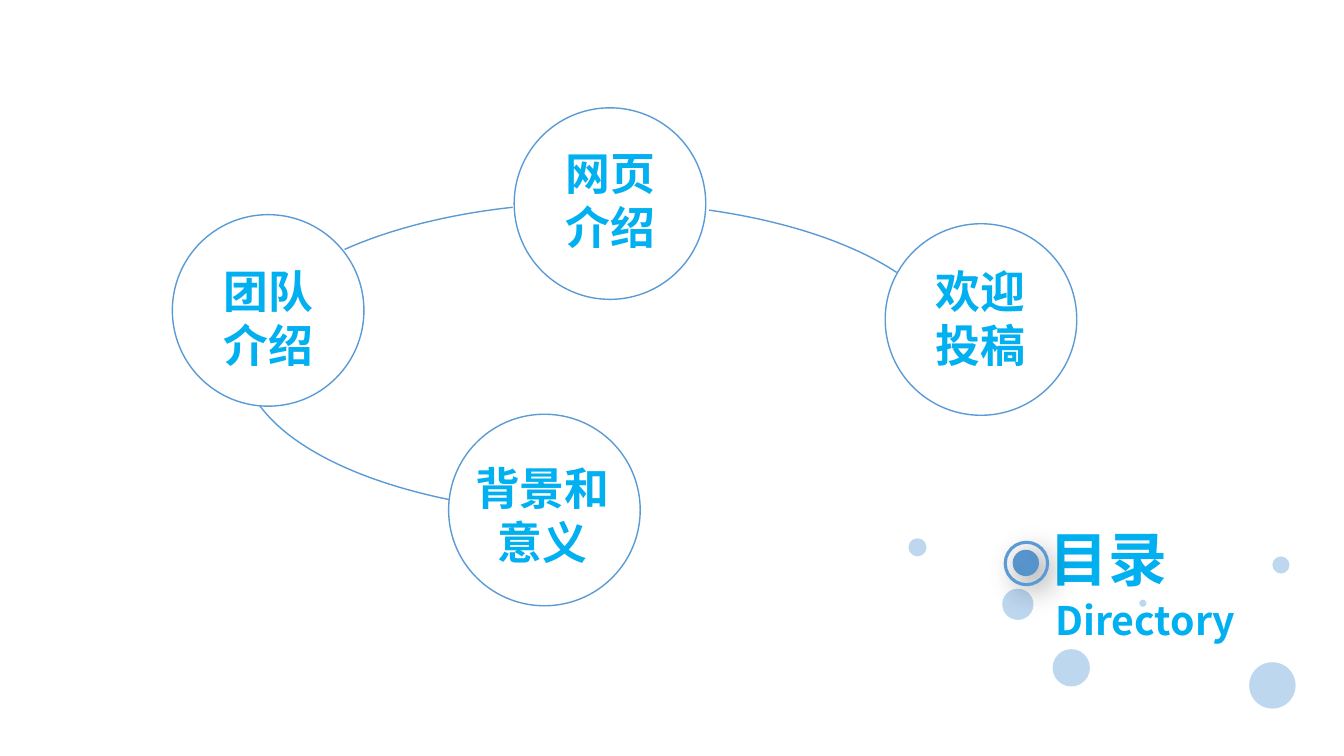
from dataclasses import dataclass

from lxml.etree import SubElement
from pptx import Presentation
from pptx.dml.color import RGBColor
from pptx.enum.shapes import MSO_SHAPE as Preset
from pptx.enum.text import MSO_ANCHOR as Anchor, MSO_AUTO_SIZE as AutoSize, PP_ALIGN as Align
from pptx.oxml.ns import qn
from pptx.shapes.autoshape import Shape
from pptx.slide import Slide
from pptx.util import Inches, Pt

BLUE = RGBColor(0x5B, 0x9B, 0xD5)
CYAN = RGBColor(0x00, 0xB0, 0xF0)
FONT = "Noto Sans CJK SC"
TOPIC_SIZE = 1.9
ORBIT = (2.41, 2.01, 7.07, 3.09)


@dataclass
class Bubble:
    left: float
    top: float
    size: float


@dataclass
class Topic:
    left: float
    top: float
    lines: tuple[str, ...]
    text_left: float
    text_top: float
    text_width: float = 1.09


@dataclass
class OrbitArc:
    start: float
    end: float


BUBBLES = [
    Bubble(12.39, 6.57, 0.46),
    Bubble(9.01, 5.34, 0.18),
    Bubble(10.44, 6.44, 0.37),
    Bubble(12.62, 5.52, 0.17),
    Bubble(11.3, 5.95, 0.07),
    Bubble(9.94, 5.84, 0.31),
]
TOPICS = [
    Topic(8.78, 2.22, ("欢迎", "投稿"), 9.18, 2.57),
    Topic(1.71, 2.13, ("团队", "介绍"), 2.12, 2.57),
    Topic(4.45, 4.11, ("背景和", "意义"), 4.58, 4.52, 1.6),
    Topic(5.1, 1.07, ("网页", "介绍"), 5.51, 1.4),
]
# Angles in degrees, clockwise from the right
ARCS = [OrbitArc(136.83, 172.08), OrbitArc(203.15, 240.17), OrbitArc(306.54, 343.88)]


def add_outline(page: Slide, preset: Preset, left: float, top: float, width: float,
                height: float, *, line: float = 0, filled: bool = False) -> Shape:
    shape = page.shapes.add_shape(
        preset, Inches(left), Inches(top), Inches(width), Inches(height))
    shape.shadow.inherit = False
    if filled:
        shape.fill.solid()
        shape.fill.fore_color.rgb = BLUE
    else:
        shape.fill.background()
    if line:
        shape.line.color.rgb = BLUE
        shape.line.width = Pt(line)
    else:
        shape.line.fill.background()
    return shape


def add_bubble(page: Slide, bubble: Bubble) -> None:
    shape = add_outline(page, Preset.OVAL, bubble.left, bubble.top,
                        bubble.size, bubble.size, filled=True)
    color = shape.fill._xPr.find(qn("a:solidFill"))[0]
    SubElement(color, qn("a:alpha"), val="40000")


def add_arc(page: Slide, arc: OrbitArc) -> None:
    shape = add_outline(page, Preset.ARC, *ORBIT, line=1)
    for index, degrees in enumerate((arc.start, arc.end)):
        shape.adjustments[index] = degrees * 0.6


def add_text(page: Slide, lines: tuple[str, ...], left: float, top: float, width: float,
             height: float, *, size: float, align: Align = Align.LEFT) -> None:
    box = page.shapes.add_textbox(Inches(left), Inches(top), Inches(width), Inches(height))
    frame = box.text_frame
    frame.word_wrap = False
    frame.auto_size = AutoSize.SHAPE_TO_FIT_TEXT
    frame.vertical_anchor = Anchor.TOP
    for index, line in enumerate(lines):
        para = frame.add_paragraph() if index else frame.paragraphs[0]
        para.alignment = align
        span = para.add_run()
        span.text = line
        span.font.size = Pt(size)
        span.font.bold = True
        span.font.color.rgb = CYAN
        span.font.name = FONT
        SubElement(span.font._element, qn("a:ea"), typeface=FONT)


def add_marker_ring(page: Slide, ring: Bubble, filled: bool) -> None:
    shape = add_outline(page, Preset.OVAL, ring.left, ring.top, ring.size, ring.size,
                        line=2.25, filled=filled)
    effects = shape._element.spPr.find(qn("a:effectLst"))
    shadow = SubElement(effects, qn("a:outerShdw"), blurRad=str(Pt(20)), dist=str(Pt(8)),
                        dir="2700000", algn="tl", rotWithShape="0")
    color = SubElement(shadow, qn("a:srgbClr"), val="000000")
    SubElement(color, qn("a:alpha"), val="40000")


def main() -> None:
    deck = Presentation()
    deck.slide_width, deck.slide_height = Inches(13.33), Inches(7.5)
    page = deck.slides.add_slide(deck.slide_layouts[6])

    # Background bubbles
    for bubble in BUBBLES:
        add_bubble(page, bubble)

    # Topics along the orbit
    for arc in ARCS:
        add_arc(page, arc)
    for topic in TOPICS:
        add_outline(page, Preset.OVAL, topic.left, topic.top, TOPIC_SIZE, TOPIC_SIZE, line=1)
        add_text(page, topic.lines, topic.text_left, topic.text_top, topic.text_width, 1.18,
                 size=32, align=Align.CENTER)

    # Title with its round marker
    add_text(page, ("目录",), 10.31, 5.14, 1.38, 0.81, size=42)
    add_text(page, ("Directory",), 10.37, 5.87, 2.02, 0.57, size=28)
    add_marker_ring(page, Bubble(10.06, 5.47, 0.23), filled=True)
    add_marker_ring(page, Bubble(9.97, 5.38, 0.42), filled=False)

    deck.save("out.pptx")


if __name__ == "__main__":
    main()
